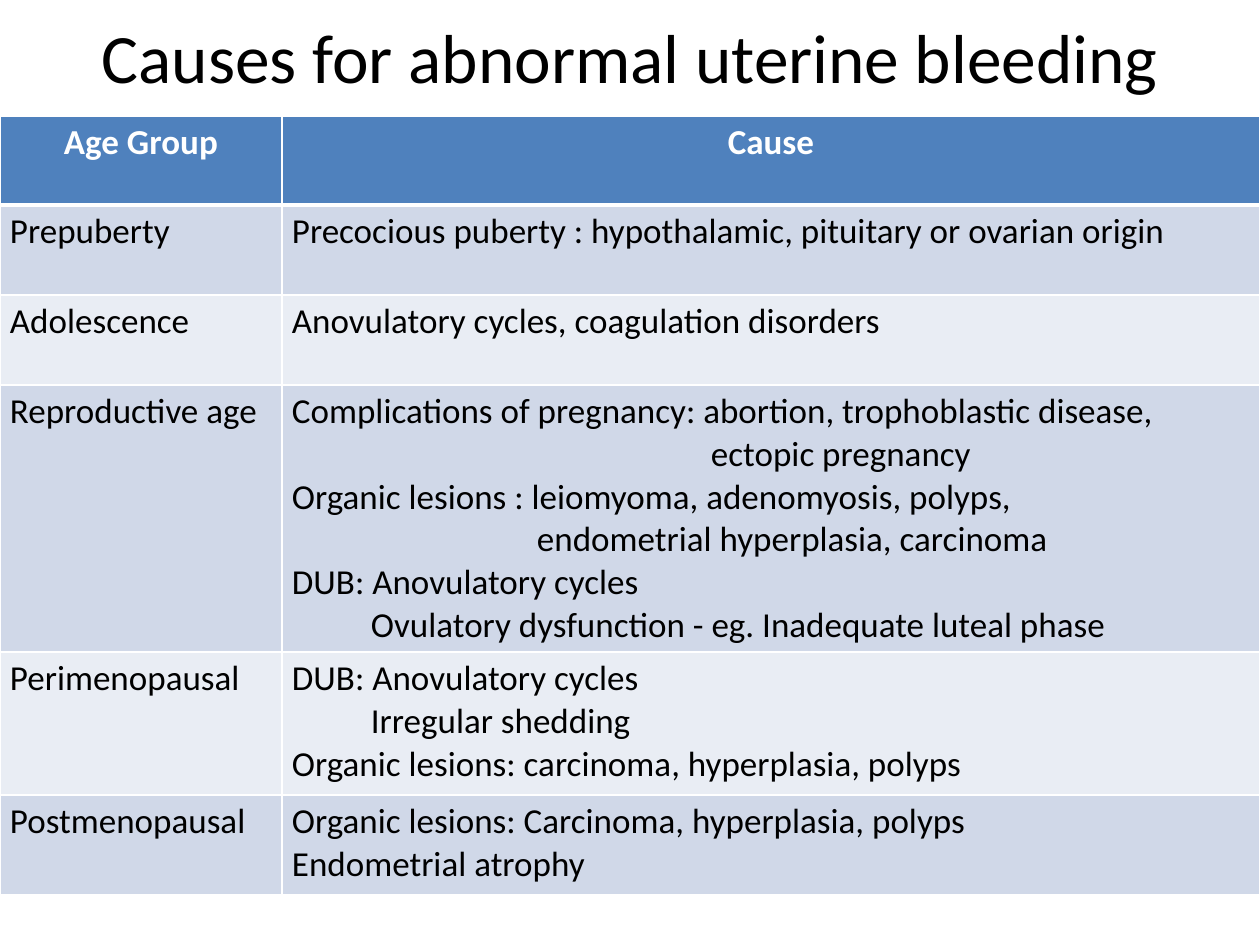
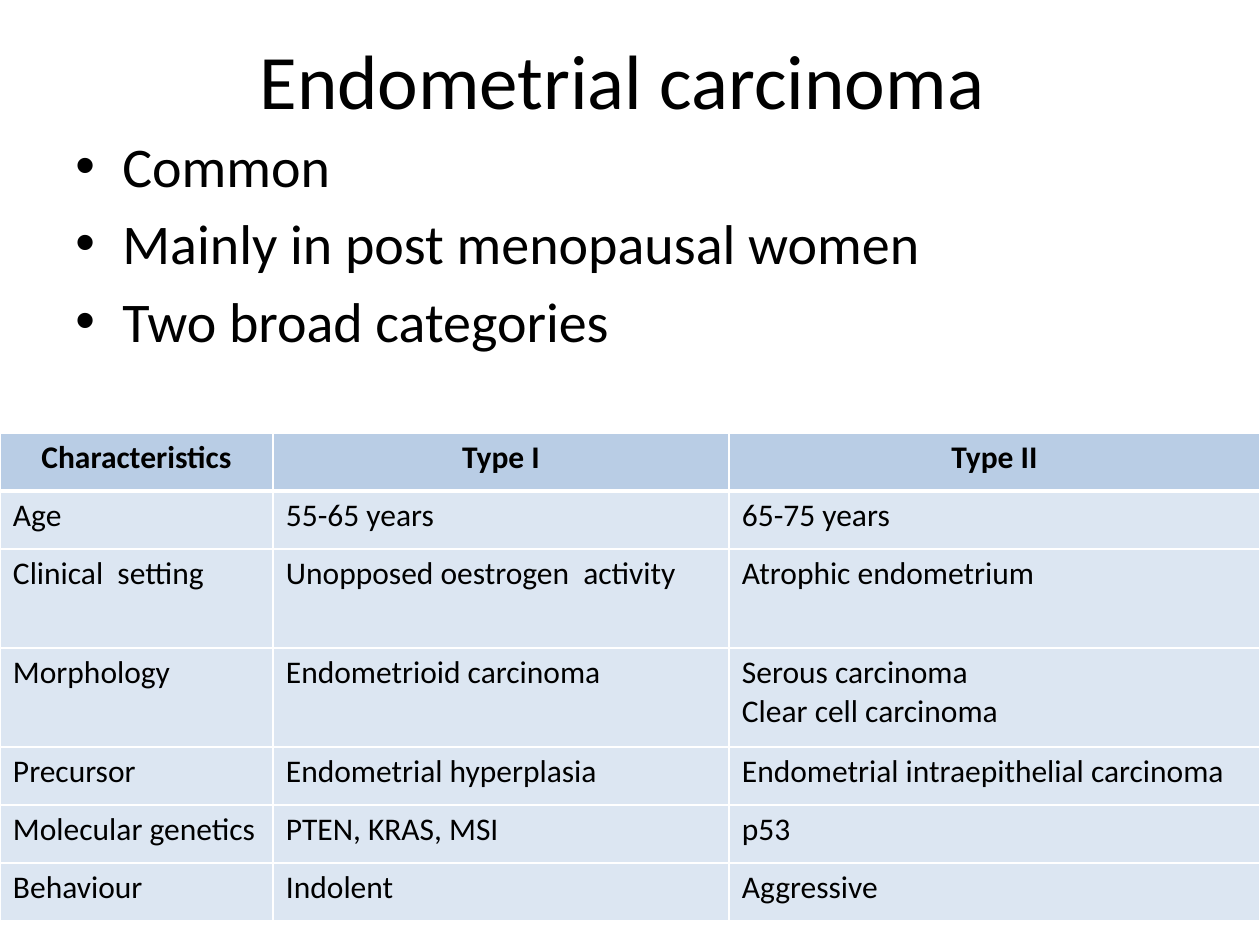
from dataclasses import dataclass
from pptx import Presentation
from pptx.util import Emu, Pt
from pptx.dml.color import RGBColor
from pptx.enum.text import PP_ALIGN, MSO_ANCHOR
from pptx.oxml.ns import qn
from lxml.etree import SubElement


@dataclass(frozen=True)
class Theme:
    font: str = "Calibri"
    black: str = "000000"
    white: str = "FFFFFF"
    blue: str = "4F81BD"
    mist: str = "D0D8E8"
    pale: str = "E9EDF4"
    sky: str = "B9CDE5"
    ice: str = "DCE6F2"
    body: int = 32
    gap: int = 6
    thin: int = 1
    thick: int = 3


T = Theme()

# Content: a cell is a list of lines; a line may carry its indent in px
CAUSES = [
    ["Age Group", "Cause"],
    ["Prepuberty", "Precocious puberty : hypothalamic, pituitary or ovarian origin"],
    ["Adolescence", "Anovulatory cycles, coagulation disorders"],
    ["Reproductive age", [
        "Complications of pregnancy: abortion, trophoblastic disease,",
        ("ectopic pregnancy", 419),
        "Organic lesions : leiomyoma, adenomyosis, polyps,",
        ("endometrial hyperplasia, carcinoma", 245),
        "DUB: Anovulatory cycles",
        ("Ovulatory dysfunction - eg. Inadequate luteal phase", 79)]],
    ["Perimenopausal", [
        "DUB: Anovulatory cycles",
        ("Irregular shedding", 79),
        "Organic lesions: carcinoma, hyperplasia, polyps"]],
    ["Postmenopausal", [
        "Organic lesions: Carcinoma, hyperplasia, polyps",
        "Endometrial atrophy"]],
]
POINTS = ["Common", "Mainly in post menopausal women", "Two broad categories"]
TYPES = [
    ["Characteristics", "Type I", "Type II"],
    ["Age", "55-65 years", "65-75 years"],
    ["Clinical  setting", "Unopposed oestrogen  activity", "Atrophic endometrium"],
    ["Morphology", "Endometrioid carcinoma",
     ["Serous carcinoma", "Clear cell carcinoma"]],
    ["Precursor", "Endometrial hyperplasia", "Endometrial intraepithelial carcinoma"],
    ["Molecular genetics", "PTEN, KRAS, MSI", "p53"],
    ["Behaviour", "Indolent", "Aggressive"],
]

SLIDES = [
    dict(title="Causes for abnormal uterine bleeding", size=39.6,
         place=(63, -23, 1134, 158),
         grid=dict(data=CAUSES, top=116, cols=[282, 978],
                   rows=[89, 90, 90, 266, 143, 100], size=20, inset=(10, 5),
                   head=(T.blue, T.white), bands=[T.mist, T.pale])),
    dict(title="Endometrial carcinoma ", size=44,
         place=(64, 0, 1134, 158),
         points=POINTS, box=(63, 125, 1134, 719),
         grid=dict(data=TYPES, top=433, cols=[273, 456, 531],
                   rows=[58, 58, 99, 99, 58, 58, 58], size=18, inset=(13, 6),
                   head=(T.sky, T.black), bands=[T.ice])),
]


def px(n):
    return Emu(round(n * 914400 / 126))


def style(para, size, color=T.black, bold=False, align=PP_ALIGN.LEFT):
    para.alignment = align
    for run in para.runs:
        font = run.font
        font.name, font.size, font.bold = T.font, Pt(size), bold
        font.color.rgb = RGBColor.from_string(color)


def add_title(slide, text, size, place):
    shape = slide.shapes.title
    shape.left, shape.top, shape.width, shape.height = map(px, place)
    shape.text_frame.text = text
    shape.text_frame.vertical_anchor = MSO_ANCHOR.MIDDLE
    style(shape.text_frame.paragraphs[0], size, align=PP_ALIGN.CENTER)


def add_points(slide, lines, box):
    frame = slide.shapes.add_textbox(*map(px, box)).text_frame
    frame.word_wrap = True
    frame.text = "\n".join(lines)
    for i, para in enumerate(frame.paragraphs):
        if i:
            para.space_before = Pt(T.gap)
        props = para._p.get_or_add_pPr()
        props.set("marL", str(px(47)))
        props.set("indent", str(px(-47)))
        SubElement(props, qn("a:buFont"), typeface="Arial")
        SubElement(props, qn("a:buChar"), char="•")
        style(para, T.body)


def add_rules(cell, head):
    props = cell._tc.get_or_add_tcPr()
    for side in "LRTB":
        width = T.thick if head and side == "B" else T.thin
        line = SubElement(props, qn("a:ln" + side), w=str(Pt(width)))
        fill = SubElement(line, qn("a:solidFill"))
        SubElement(fill, qn("a:srgbClr"), val=T.white)


def fill_cell(cell, lines, fill, color, size, inset, head):
    add_rules(cell, head)
    cell.fill.solid()
    cell.fill.fore_color.rgb = RGBColor.from_string(fill)
    cell.margin_left = cell.margin_right = px(inset[0])
    cell.margin_top = cell.margin_bottom = px(inset[1])
    lines = [lines] if isinstance(lines, str) else lines
    pairs = [(line, 0) if isinstance(line, str) else line for line in lines]
    cell.text_frame.text = "\n".join(text for text, _ in pairs)
    align = PP_ALIGN.CENTER if head else PP_ALIGN.LEFT
    for para, (_, indent) in zip(cell.text_frame.paragraphs, pairs):
        if indent:
            para._p.get_or_add_pPr().set("marL", str(px(indent)))
        style(para, size, color, head, align)


def add_grid(slide, data, top, cols, rows, size, inset, head, bands):
    table = slide.shapes.add_table(len(rows), len(cols), 0, px(top),
                                   px(sum(cols)), px(sum(rows))).table
    for col, width in zip(table.columns, cols):
        col.width = px(width)
    for r, (row, high) in enumerate(zip(table.rows, rows)):
        row.height = px(high)
        # Header first, then the bands in turn
        fill, color = (bands[(r - 1) % len(bands)], T.black) if r else head
        for cell, lines in zip(row.cells, data[r]):
            fill_cell(cell, lines, fill, color, size, inset, r == 0)


def main():
    deck = Presentation()
    deck.slide_width, deck.slide_height = px(1260), px(945)
    for item in SLIDES:
        slide = deck.slides.add_slide(deck.slide_layouts[5])
        add_title(slide, item["title"], item["size"], item["place"])
        if "points" in item:
            add_points(slide, item["points"], item["box"])
        add_grid(slide, **item["grid"])
    deck.save("out.pptx")


if __name__ == "__main__":
    main()
